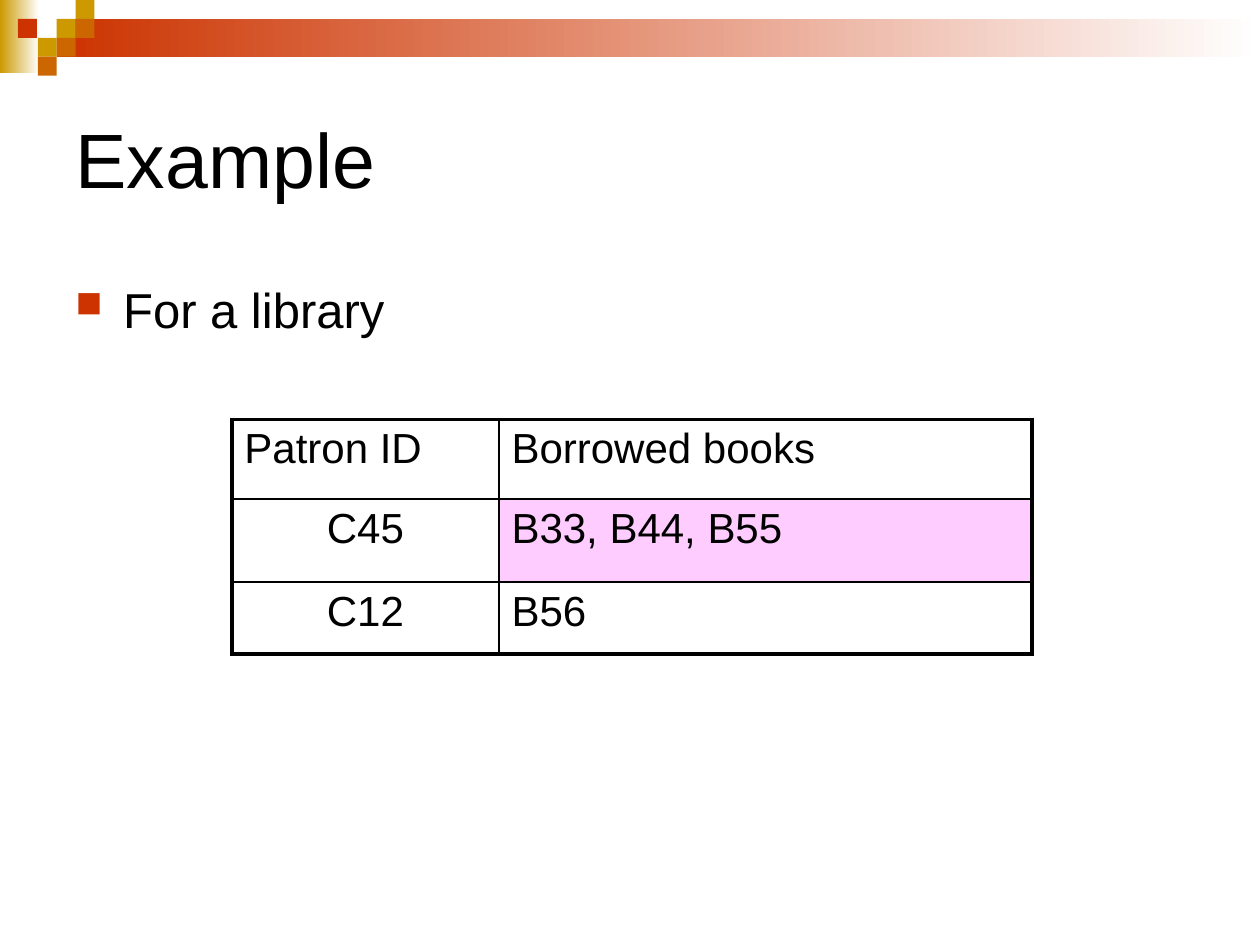
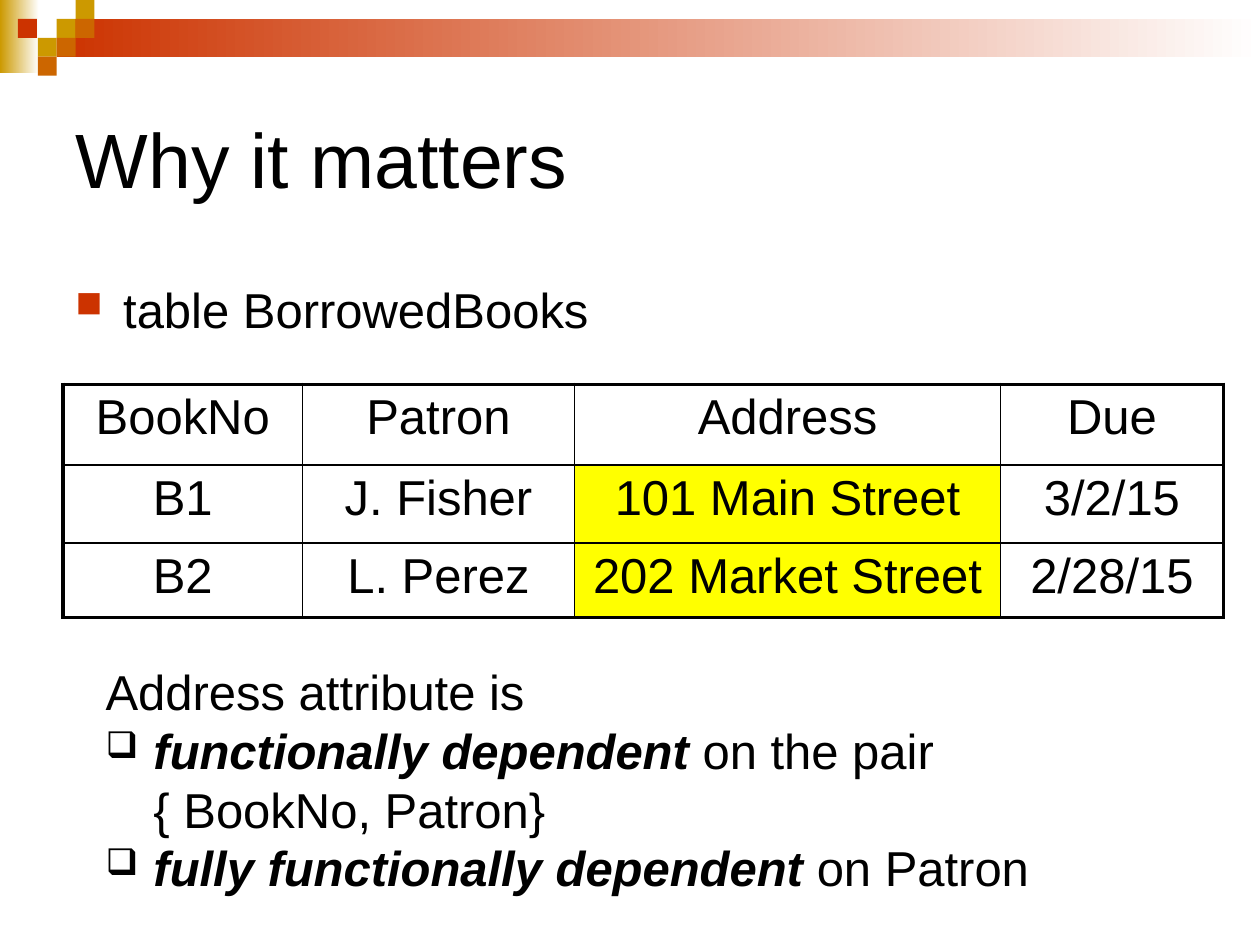
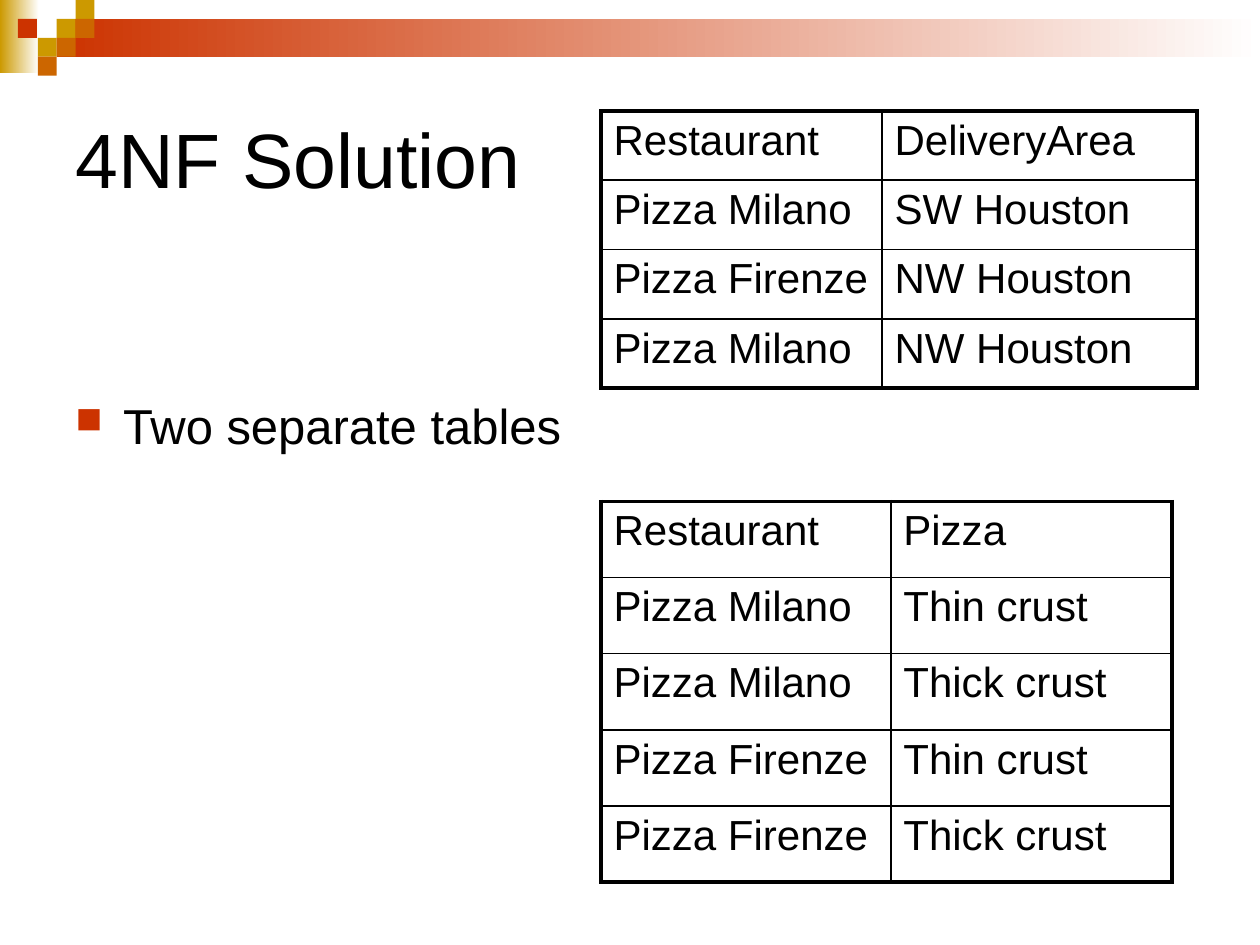
from lxml import etree
from pptx import Presentation
from pptx import util as u
from pptx.dml.color import RGBColor
from pptx.enum import shapes, text
from pptx.oxml import ns

BLACK = RGBColor(0x00, 0x00, 0x00)
WHITE = RGBColor(0xFF, 0xFF, 0xFF)
GOLD = RGBColor(0xCC, 0x99, 0x00)
ORANGE = RGBColor(0xCC, 0x66, 0x00)
RED = RGBColor(0xCC, 0x33, 0x00)
PINK = RGBColor(0xFF, 0xCC, 0xFF)
YELLOW = RGBColor(0xFF, 0xFF, 0x00)

FONT = "Arial"
TITLE_SIZE, BODY_SIZE, SMALL_SIZE = 44, 28, 24
OUTER_LINE, INNER_LINE = u.Pt(2.25), u.Pt(1)
INDENT = u.Inches(0.38)
MARGIN = 0.5
STEP = 0.15  # side of one square in the corner pattern

# left, top, width, height, first colour of the fade to white
BANDS = [(0, 0, 0.31, 0.58, GOLD), (3 * STEP, STEP, 10 - 3 * STEP, 2 * STEP, RED)]
# column, row, colour
SQUARES = [(3, 1, GOLD), (4, 0, GOLD), (4, 1, ORANGE), (2, 2, GOLD),
           (0.95, 1, RED), (3, 2, ORANGE), (2, 3, ORANGE)]

SLIDES = [
    {"title": "Example",
     "bullet": ("For a library", 2.17, 4.25),
     "tables": [
         {"at": (1.84, 3.33), "columns": [2.12, 4.23], "rows": [0.63, 0.66, 0.57],
          "size": SMALL_SIZE, "centred": {(1, 0), (2, 0)}, "fills": {(1, 1): PINK},
          "cells": [["Patron ID", "Borrowed books"],
                    ["C45", "B33, B44, B55"],
                    ["C12", "B56"]]}]},
    {"title": "Why it matters",
     "bullet": ("table BorrowedBooks", 2.17, 4.25),
     "tables": [
         {"at": (MARGIN, 3.05), "columns": [1.9, 2.16, 3.38, 1.77],
          "rows": [0.64, 0.62, 0.59], "size": BODY_SIZE,
          "centred": {(row, column) for row in range(3) for column in range(4)},
          "fills": {(1, 2): YELLOW, (2, 2): YELLOW},
          "cells": [["BookNo", "Patron", "Address", "Due"],
                    ["B1", "J. Fisher", "101 Main Street", "3/2/15"],
                    ["B2", "L. Perez", "202 Market Street", "2/28/15"]]}]},
    {"title": "4NF Solution",
     "bullet": ("Two separate tables", 3.09, 0.66),
     "tables": [
         {"at": (4.77, 3.98), "columns": [2.3, 2.23], "rows": [3.02 / 5] * 5,
          "size": SMALL_SIZE, "centred": set(), "fills": {},
          "cells": [["Restaurant", "Pizza"],
                    ["Pizza Milano", "Thin crust"],
                    ["Pizza Milano", "Thick crust"],
                    ["Pizza Firenze", "Thin crust"],
                    ["Pizza Firenze", "Thick crust"]]},
         {"at": (4.77, 0.88), "columns": [2.23, 2.5], "rows": [0.55] * 4,
          "size": SMALL_SIZE, "centred": set(), "fills": {},
          "cells": [["Restaurant", "DeliveryArea"],
                    ["Pizza Milano", "SW Houston"],
                    ["Pizza Firenze", "NW Houston"],
                    ["Pizza Milano", "NW Houston"]]}]},
]

# bold term, then the lines that follow it
DEPENDENCIES = [("functionally dependent", [" on the pair", "{ BookNo, Patron}"]),
                ("fully functionally dependent", [" on Patron"])]


def format_text(para, size, bullet=None, bullet_colour=BLACK):
    """Give every run the deck's font and, if asked, the paragraph a hanging bullet."""
    for span in para.runs:
        span.font.name = FONT
        span.font.size = u.Pt(size)
        span.font.color.rgb = BLACK
    if bullet:
        props = para._p.get_or_add_pPr()
        props.set("marL", str(INDENT))
        props.set("indent", str(-INDENT))
        colour = etree.SubElement(props, ns.qn("a:buClr"))
        etree.SubElement(colour, ns.qn("a:srgbClr"), val=str(bullet_colour))
        etree.SubElement(props, ns.qn("a:buSzPct"), val="75000")
        etree.SubElement(props, ns.qn("a:buChar"), char=bullet)


def add_grid(page, grid):
    """Draw a table with a heavy frame and thin inner lines."""
    columns, rows = grid["columns"], grid["rows"]
    frame = page.shapes.add_table(len(rows), len(columns), *map(
        u.Inches, (*grid["at"], sum(columns), sum(rows))))
    table = frame.table
    table.first_row = table.horz_banding = False
    for column, width in zip(table.columns, columns):
        column.width = u.Inches(width)
    for row, height in zip(table.rows, rows):
        row.height = u.Inches(height)
    for r, words in enumerate(grid["cells"]):
        for c, word in enumerate(words):
            cell = table.cell(r, c)
            cell.text_frame.text = word
            para = cell.text_frame.paragraphs[0]
            format_text(para, grid["size"])
            if (r, c) in grid["centred"]:
                para.alignment = text.PP_ALIGN.CENTER
            on_frame = {"lnL": c == 0, "lnR": c == len(columns) - 1,
                        "lnT": r == 0, "lnB": r == len(rows) - 1}
            props = cell._tc.get_or_add_tcPr()
            for edge, outer in on_frame.items():
                line = etree.SubElement(props, ns.qn(f"a:{edge}"),
                                        w=str(OUTER_LINE if outer else INNER_LINE))
                paint = etree.SubElement(line, ns.qn("a:solidFill"))
                etree.SubElement(paint, ns.qn("a:srgbClr"), val=str(BLACK))
            if (r, c) in grid["fills"]:
                cell.fill.solid()
                cell.fill.fore_color.rgb = grid["fills"][r, c]
            else:
                cell.fill.background()


deck = Presentation()
deck.slide_width, deck.slide_height = u.Inches(10), u.Inches(7.5)
title_only = deck.slide_layouts[5]

for content in SLIDES:
    page = deck.slides.add_slide(title_only)

    blocks = BANDS + [(column * STEP, row * STEP, STEP, STEP, colour)
                      for column, row, colour in SQUARES]
    for number, (*place, colour) in enumerate(blocks):
        block = page.shapes.add_shape(shapes.MSO_SHAPE.RECTANGLE, *map(u.Inches, place))
        block.shadow.inherit = False
        block.line.fill.background()
        if number < len(BANDS):
            block.fill.gradient()
            block.fill.gradient_angle = 0
            for stop, shade in zip(block.fill.gradient_stops, (colour, WHITE)):
                stop.color.rgb = shade
        else:
            block.fill.solid()
            block.fill.fore_color.rgb = colour

    title = page.shapes.title
    title.left, title.top, title.width, title.height = map(u.Inches, (MARGIN, 0.5, 9, 1.5))
    title.text_frame.text = content["title"]
    title.text_frame.vertical_anchor = text.MSO_ANCHOR.MIDDLE
    title.text_frame.paragraphs[0].alignment = text.PP_ALIGN.LEFT
    format_text(title.text_frame.paragraphs[0], TITLE_SIZE)

    words, top, height = content["bullet"]
    body = page.shapes.add_textbox(*map(u.Inches, (MARGIN, top, 9, height)))
    body.text_frame.word_wrap = True
    body.text_frame.text = words
    format_text(body.text_frame.paragraphs[0], BODY_SIZE, "■", RED)

    for grid in content["tables"]:
        add_grid(page, grid)

# Closing remarks under the BorrowedBooks table
remarks = deck.slides[1].shapes.add_textbox(*map(u.Inches, (0.74, 5.2, 7.9, 1.97))).text_frame
remarks.word_wrap = True
remarks.text = "Address attribute is"
format_text(remarks.paragraphs[0], BODY_SIZE)
for term, lines in DEPENDENCIES:
    para = remarks.add_paragraph()
    para.text = term
    para.runs[0].font.bold = para.runs[0].font.italic = True
    for number, line in enumerate(lines):
        if number:
            para.add_line_break()
        para.add_run().text = line
    format_text(para, BODY_SIZE, "❑")

deck.save("out.pptx")
